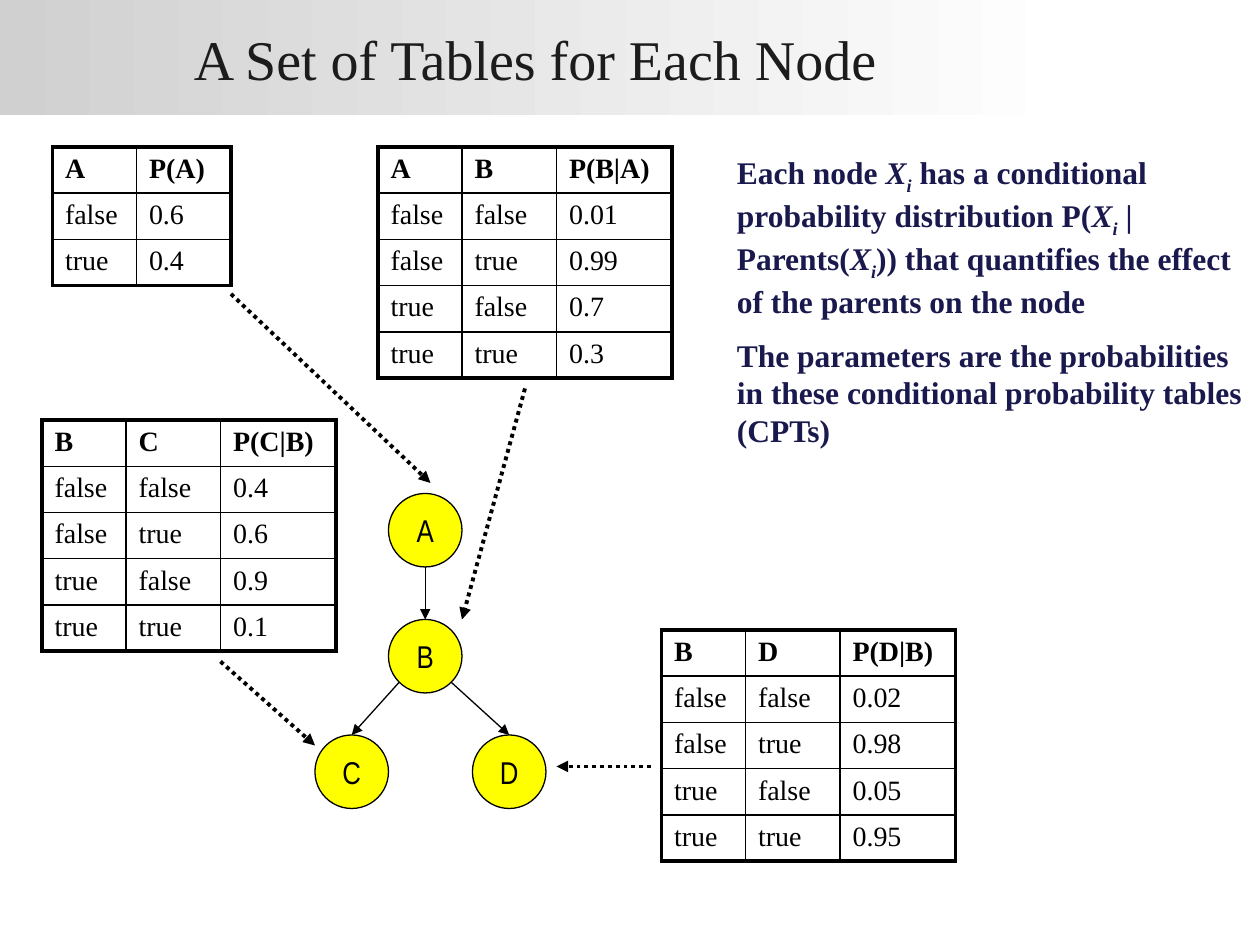
from dataclasses import dataclass

from lxml import etree
from pptx import Presentation
from pptx.dml.color import RGBColor
from pptx.enum.dml import MSO_LINE
from pptx.enum.shapes import MSO_CONNECTOR, MSO_SHAPE
from pptx.enum.text import MSO_ANCHOR, PP_ALIGN
from pptx.oxml import parse_xml
from pptx.oxml.ns import nsdecls, qn
from pptx.util import Inches, Pt

RECT, OVAL = MSO_SHAPE.RECTANGLE, MSO_SHAPE.OVAL
LINE, DOTS = MSO_CONNECTOR.STRAIGHT, MSO_LINE.ROUND_DOT
MID, CENTER = MSO_ANCHOR.MIDDLE, PP_ALIGN.CENTER

BLACK = RGBColor(0x00, 0x00, 0x00)
WHITE = RGBColor(0xFF, 0xFF, 0xFF)
GREY = RGBColor(0xD0, 0xD0, 0xD0)
INK = RGBColor(0x1C, 0x1C, 0x1C)
NAVY = RGBColor(0x19, 0x19, 0x4D)
YELLOW = RGBColor(0xFF, 0xFF, 0x00)

SERIF, NARROW = "Times New Roman", "Arial Narrow"
COLS, ROWS = 120, 90  # slide grid, twelve units to the inch
WIDTHS = (8, 9, 11)  # column widths of a table
HIGH = 4.4  # row height of a table
SIZE = 7  # diameter of a node
THIN, THICK = 1, 2.25


@dataclass(frozen=True)
class Table:
    x: float
    y: float
    widths: tuple[int, ...]
    head: tuple[str, ...]
    body: tuple[tuple[str, ...], ...]


@dataclass(frozen=True)
class Node:
    name: str
    x: float
    y: float


@dataclass(frozen=True)
class Arrow:
    start: tuple[float, float]
    end: tuple[float, float]
    dotted: bool = False


def pair(x: float, y: float, parent: str, child: str, odds: str) -> Table:
    """Conditional table: each truth value of parent and child."""
    keys = [(a, b) for a in ("false", "true") for b in ("false", "true")]
    body = tuple((*key, odd) for key, odd in zip(keys, odds.split()))
    return Table(x, y, WIDTHS, (parent, child, f"P({child}|{parent})"), body)


TABLES = (
    Table(5, 14, (8, 9), ("A", "P(A)"), (("false", "0.6"), ("true", "0.4"))),
    pair(36, 14, "A", "B", "0.01 0.99 0.7 0.3"),
    pair(4, 40, "B", "C", "0.4 0.6 0.9 0.1"),
    pair(63, 60, "B", "D", "0.02 0.98 0.05 0.95"),
)
NODES = (Node("A", 37, 47), Node("B", 37, 59), Node("C", 30, 70), Node("D", 45, 70))
ARROWS = (
    Arrow((40.5, 54), (40.5, 59)),
    Arrow((38, 65), (33.5, 70)),
    Arrow((43, 65), (48.5, 70)),
    Arrow((22, 28), (41, 46), True),
    Arrow((50, 37), (44, 59), True),
    Arrow((62, 73), (53, 73), True),
    Arrow((21, 63), (30, 71), True),
)
VAR = (("X", "i"), ("i", "sub"))
NOTES = (
    (
        ("Each node ", ""), *VAR,
        (" has a conditional probability distribution P(", ""), *VAR,
        (" | Parents(", ""), *VAR,
        (")) that quantifies the effect of the parents on the node", ""),
    ),
    (("The parameters are the probabilities in these conditional "
      "probability tables (CPTs)", ""),),
)


def unit(*vals: float) -> list[int]:
    return [Inches(val / 12) for val in vals]


def add_run(para, text: str, size: float, color: RGBColor,
            face: str = SERIF, bold: bool = False):
    run = para.add_run()
    run.text = text
    font = run.font
    font.name, font.size, font.bold = face, Pt(size), bold
    font.color.rgb = color
    return run


def draw_title(slide) -> None:
    box = slide.shapes.add_shape(RECT, *unit(0, 0, 102, 11))
    box.shadow.inherit = False
    box.line.fill.background()
    box.fill.gradient()
    box.fill.gradient_angle = 0
    for stop, color in zip(box.fill.gradient_stops, (GREY, WHITE)):
        stop.color.rgb = color
    frame = box.text_frame
    frame.vertical_anchor = MID
    para = frame.paragraphs[0]
    para.alignment = CENTER
    add_run(para, "A Set of Tables for Each Node", 32, INK)


def draw_notes(slide) -> None:
    frame = slide.shapes.add_textbox(*unit(69, 14, 51, 28.4)).text_frame
    frame.word_wrap = True
    for num, parts in enumerate(NOTES):
        para = frame.add_paragraph() if num else frame.paragraphs[0]
        para.space_before = Pt(9)
        for text, style in parts:
            run = add_run(para, text, 18, NAVY, bold=True)
            run.font.italic = bool(style)
            if style == "sub":
                run.font._element.set("baseline", "-25000")


def set_edge(cell, side: str, width: float) -> None:
    line = parse_xml(
        f'<a:ln{side} {nsdecls("a")} w="{Pt(width)}"><a:solidFill>'
        f'<a:srgbClr val="{BLACK}"/></a:solidFill></a:ln{side}>')
    cell._tc.get_or_add_tcPr().append(line)


def draw_table(slide, item: Table) -> None:
    rows = (item.head, *item.body)
    high, wide = len(rows), len(item.widths)
    place = unit(item.x, item.y, sum(item.widths), HIGH * high)
    table = slide.shapes.add_table(high, wide, *place).table
    table.first_row = table.horz_banding = False
    for col, width in zip(table.columns, item.widths):
        col.width = unit(width)[0]
    for r, row in enumerate(rows):
        table.rows[r].height = unit(HIGH)[0]
        for c, text in enumerate(row):
            cell = table.cell(r, c)
            add_run(cell.text_frame.paragraphs[0], text, 16, BLACK, bold=r == 0)
            # Heavy frame outside, thin rules inside
            outer = {"L": c == 0, "R": c == wide - 1,
                     "T": r == 0, "B": r == high - 1}
            for side, edge in outer.items():
                set_edge(cell, side, THICK if edge else THIN)
            cell.fill.background()


def draw_node(slide, node: Node) -> None:
    disc = slide.shapes.add_shape(OVAL, *unit(node.x, node.y, SIZE, SIZE))
    disc.shadow.inherit = False
    disc.fill.solid()
    disc.fill.fore_color.rgb = YELLOW
    disc.line.color.rgb = BLACK
    disc.line.width = Pt(0.75)
    frame = disc.text_frame
    frame.word_wrap = False
    frame.vertical_anchor = MID
    para = frame.paragraphs[0]
    para.alignment = CENTER
    add_run(para, node.name, 18, BLACK, NARROW)


def draw_arrow(slide, arrow: Arrow) -> None:
    link = slide.shapes.add_connector(LINE, *unit(*arrow.start, *arrow.end))
    link.line.color.rgb = BLACK
    link.line.width = Pt(2.25 if arrow.dotted else 0.75)
    if arrow.dotted:
        link.line.dash_style = DOTS
    etree.SubElement(link.line._get_or_add_ln(), qn("a:tailEnd"), type="triangle")
    etree.SubElement(link._element.spPr, qn("a:effectLst"))


def main() -> None:
    deck = Presentation()
    deck.slide_width, deck.slide_height = unit(COLS, ROWS)
    slide = deck.slides.add_slide(deck.slide_layouts[6])
    draw_title(slide)
    draw_notes(slide)
    for draw, items in ((draw_table, TABLES), (draw_node, NODES), (draw_arrow, ARROWS)):
        for item in items:
            draw(slide, item)
    deck.save("out.pptx")


if __name__ == "__main__":
    main()
